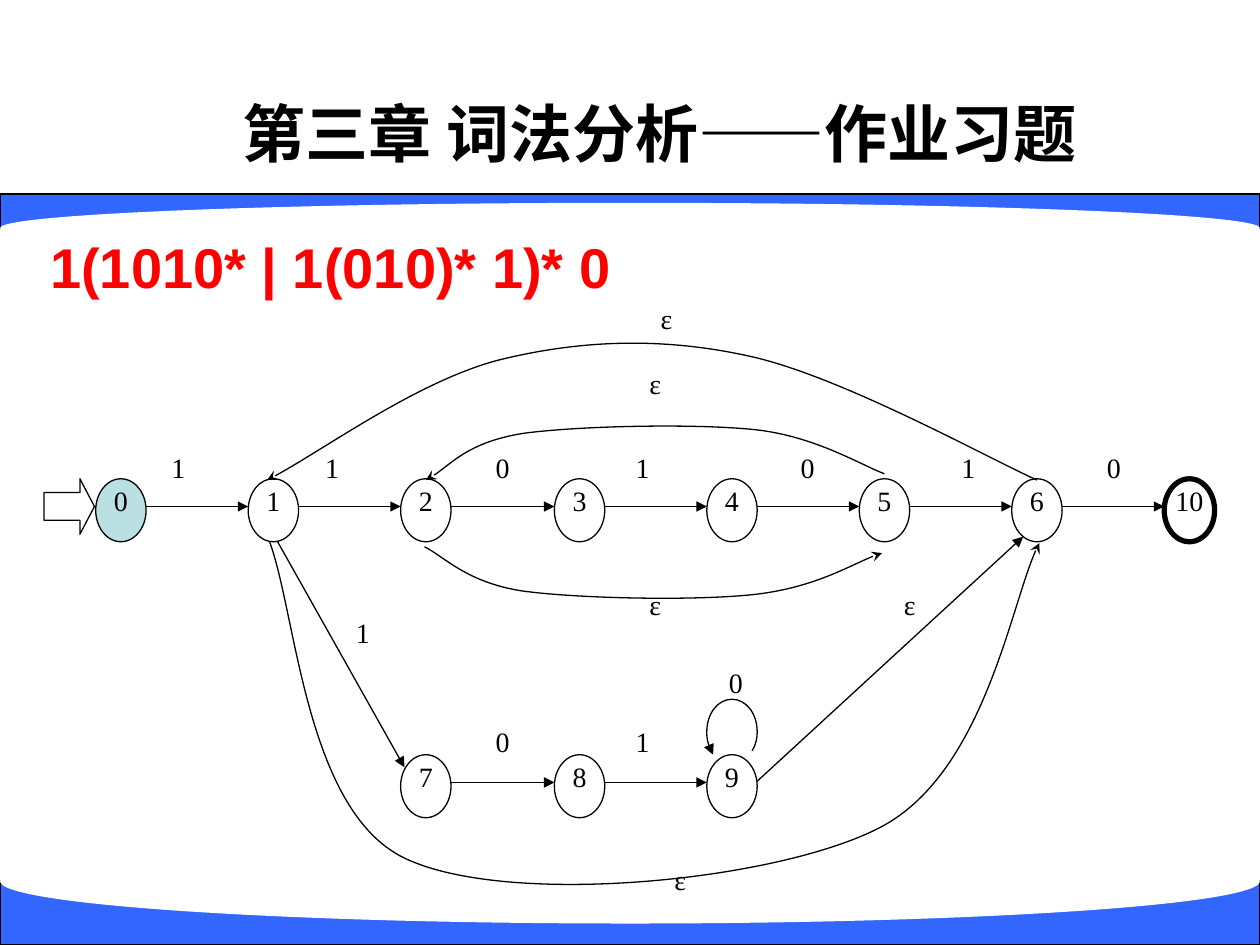
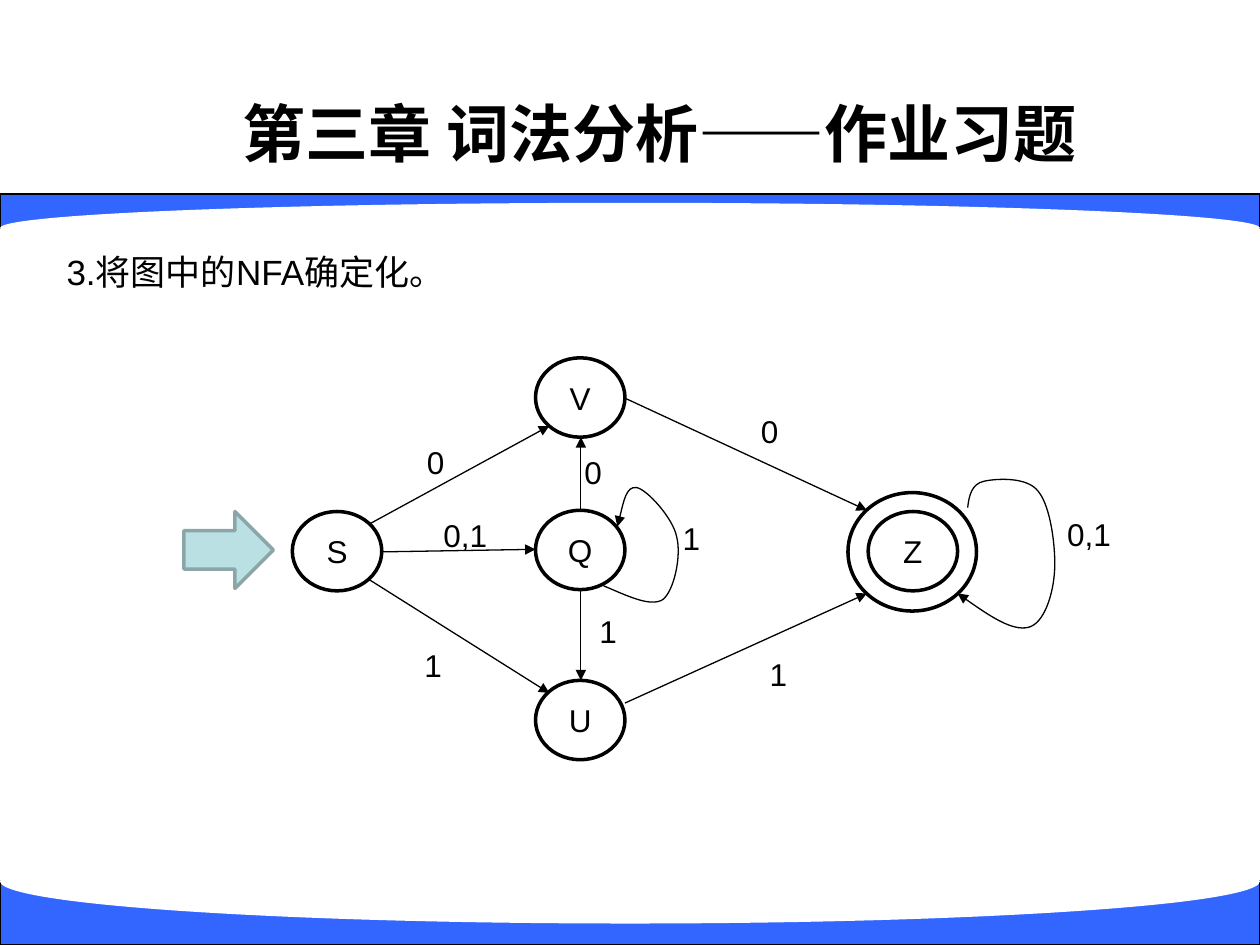
from dataclasses import dataclass

from lxml import etree
from pptx import Presentation
from pptx import util as u
from pptx.dml.color import RGBColor
from pptx.enum import lang, shapes, text
from pptx.oxml import ns

PX = 9144  # EMU in one px, 100 px to the inch
WIDTH, HEIGHT = 1000, 750

BLACK = RGBColor(0x00, 0x00, 0x00)
WHITE = RGBColor(0xFF, 0xFF, 0xFF)
RED = RGBColor(0xFF, 0x00, 0x00)
BLUE = RGBColor(0x33, 0x66, 0xFF)
PALE_TEAL = RGBColor(0xBB, 0xE0, 0xE3)
DARK_TEAL = RGBColor(0x8A, 0xA6, 0xA8)

TITLE = "第三章 词法分析——作业习题"
SHAPE = shapes.MSO_SHAPE
LEFT, CENTER = text.PP_ALIGN.LEFT, text.PP_ALIGN.CENTER
TOP, MIDDLE = text.MSO_ANCHOR.TOP, text.MSO_ANCHOR.MIDDLE
Point = tuple[int, int]


@dataclass(frozen=True)
class Box:
    left: int
    top: int
    width: int
    height: int

    def emu(self) -> list[int]:
        return [side * PX for side in (self.left, self.top, self.width, self.height)]


@dataclass(frozen=True)
class TextStyle:
    size: int
    font: str = "Arial"
    color: RGBColor = BLACK
    bold: bool = False
    align: text.PP_ALIGN = LEFT
    anchor: text.MSO_ANCHOR = TOP
    spacing: float = 1.0
    inset: tuple[int, int] = (10, 5)
    wrap: bool = True


@dataclass(frozen=True)
class State:
    name: str
    box: Box
    fill: RGBColor | None = WHITE
    weight: float = 0.75


@dataclass(frozen=True)
class Label:
    name: str
    left: int
    top: int
    width: int = 40
    align: text.PP_ALIGN = CENTER


@dataclass(frozen=True)
class Curve:
    """Bezier chain: a start, then two handles and an end for each span."""
    points: list[Point]
    head: str


TITLE_STYLE = TextStyle(36, bold=True, align=CENTER, anchor=MIDDLE)
REGEX_STYLE = TextStyle(32, color=RED, bold=True, anchor=MIDDLE)
QUESTION_STYLE = TextStyle(20)
SERIF_STATE = TextStyle(16, "Times New Roman", align=CENTER, spacing=0.88, inset=(0, 0))
SANS_STATE = TextStyle(18, align=CENTER, anchor=MIDDLE, inset=(0, 0))
SANS_LABEL = TextStyle(18, wrap=False)


# Drawing helpers
def write(frame, words: str, style: TextStyle) -> None:
    frame.word_wrap = style.wrap
    frame.vertical_anchor = style.anchor
    frame.margin_left = frame.margin_right = style.inset[0] * PX
    frame.margin_top = frame.margin_bottom = style.inset[1] * PX
    para = frame.paragraphs[0]
    para.alignment = style.align
    para.line_spacing = style.spacing
    para.space_before = u.Pt(0)
    span = para.add_run()
    span.text = words
    span.font.name = style.font
    span.font.size = u.Pt(style.size)
    span.font.bold = style.bold
    span.font.color.rgb = style.color
    span.font.language_id = lang.MSO_LANGUAGE_ID.SIMPLIFIED_CHINESE


def add_text(page, box: Box, words: str, style: TextStyle) -> None:
    write(page.shapes.add_textbox(*box.emu()).text_frame, words, style)


def paint(shape, fill: RGBColor | None, line: RGBColor | None, weight: float) -> None:
    shape.shadow.inherit = False
    if fill is None:
        shape.fill.background()
    else:
        shape.fill.solid()
        shape.fill.fore_color.rgb = fill
    if line is None:
        shape.line.fill.background()
    else:
        shape.line.color.rgb = line
        shape.line.width = u.Pt(weight)


def add_figure(page, kind, box: Box, fill: RGBColor | None,
               line: RGBColor | None = BLACK, weight: float = 0.75):
    figure = page.shapes.add_shape(kind, *box.emu())
    paint(figure, fill, line, weight)
    return figure


def add_state(page, state: State, style: TextStyle) -> None:
    figure = add_figure(page, SHAPE.OVAL, state.box, state.fill, weight=state.weight)
    write(figure.text_frame, state.name, style)


def set_arrowhead(shape, head: str) -> None:
    line = shape.element.spPr.find(ns.qn("a:ln"))
    etree.SubElement(line, ns.qn("a:tailEnd"), type=head)


def add_arrow(page, start: Point, end: Point) -> None:
    ends = [value * PX for value in (*start, *end)]
    arrow = page.shapes.add_connector(shapes.MSO_CONNECTOR.STRAIGHT, *ends)
    arrow.line.color.rgb = BLACK
    arrow.line.width = u.Pt(0.75)
    set_arrowhead(arrow, "triangle")
    etree.SubElement(arrow.element.spPr, ns.qn("a:effectLst"))


def add_curve(page, curve: Curve) -> None:
    builder = page.shapes.build_freeform(*curve.points[0], scale=PX)
    builder.add_line_segments(curve.points[1:], close=False)
    outline = builder.convert_to_shape()
    # Every three straight segments become one Bezier span
    segments = list(outline.element.iter(ns.qn("a:lnTo")))
    route = segments[0].getparent()
    for first in range(0, len(segments), 3):
        span = etree.SubElement(route, ns.qn("a:cubicBezTo"))
        for segment in segments[first:first + 3]:
            span.append(segment[0])
            route.remove(segment)
    paint(outline, None, BLACK, 0.75)
    set_arrowhead(outline, curve.head)


def add_bands(page) -> None:
    """Curved blue bands, placed on the layout that the pages share."""
    bands = []
    for band, oval in ((Box(0, 154, WIDTH, 27), Box(0, 161, WIDTH, 40)),
                       (Box(0, 699, WIDTH, 51), Box(0, 666, WIDTH, 67))):
        bands.append(add_figure(page, SHAPE.RECTANGLE, band, BLUE))
        bands.append(add_figure(page, SHAPE.OVAL, oval, WHITE, None))
    tree = page.slide_layout.shapes.element
    for place, figure in enumerate(bands, 2):
        tree.insert(place, figure.element)


def add_page(deck):
    page = deck.slides.add_slide(deck.slide_layouts[5])
    title = page.shapes.title
    title.left, title.top, title.width, title.height = Box(98, 71, 851, 68).emu()
    write(title.text_frame, TITLE, TITLE_STYLE)
    return page


# Page 1: automaton of the regular expression
def column(index: int) -> int:
    return 76 + round(121.2 * index)


def add_regex_page(deck) -> None:
    page = add_page(deck)
    add_bands(page)
    add_text(page, Box(30, 156, 632, 110), "1(1010* | 1(010)* 1)* 0", REGEX_STYLE)

    start = add_figure(page, SHAPE.RIGHT_ARROW, Box(35, 380, 40, 44), WHITE)
    start.adjustments[1] = 0.288

    # Moves from 1 to 7 and 6 start behind state 1
    add_arrow(page, (217, 424), (321, 609))
    add_curve(page, Curve([(212, 425), (235, 478), (240, 642), (321, 681), (402, 720),
                           (612, 700), (696, 658), (780, 617), (804, 469), (825, 431)],
                          "stealth"))

    # Upper row has eight states, lower row three
    rows = [(380, 0, ["0", "1", "2", "3", "4", "5", "6", "10"]),
            (599, 2, ["7", "8", "9"])]
    for top, first, names in rows:
        for index, name in enumerate(names, first):
            fill = PALE_TEAL if name == "0" else WHITE
            weight = 3 if name == "10" else 0.75
            add_state(page, State(name, Box(column(index), top, 40, 50), fill, weight),
                      SERIF_STATE)
            if index > first:
                add_arrow(page, (column(index - 1) + 40, top + 22),
                          (column(index), top + 22))
    add_arrow(page, (601, 620), (812, 426))

    curves = [
        # 6 back to 1, 5 back to 2
        Curve([(823, 381), (785, 364), (668, 299), (596, 283), (525, 267), (459, 270),
               (395, 286), (331, 303), (250, 362), (212, 381)], "stealth"),
        Curve([(702, 376), (685, 370), (647, 346), (599, 341), (551, 336), (459, 338),
               (415, 344), (372, 351), (354, 373), (338, 381)], "stealth"),
        # 2 on to 5
        Curve([(337, 434), (353, 442), (370, 462), (414, 469), (457, 475), (549, 477),
               (597, 472), (645, 467), (683, 444), (700, 439)], "stealth"),
        # loop on 9
        Curve([(597, 596), (600, 591), (601, 586), (601, 581), (601, 566), (592, 555),
               (581, 555), (570, 555), (561, 566), (561, 581), (561, 587), (563, 594),
               (566, 599)], "triangle"),
    ]
    for curve in curves:
        add_curve(page, curve)

    labels = [
        Label("1", 136, 359, 20, LEFT), Label("1", 258, 359, 20, LEFT),
        Label("0", 379, 359), Label("1", 500, 359, 20), Label("0", 621, 359),
        Label("1", 763, 359, 40, LEFT), Label("0", 864, 359),
        Label("0", 379, 577), Label("1", 500, 577, 20), Label("0", 564, 530),
        Label("1", 278, 490, 20), Label("ε", 509, 241), Label("ε", 500, 293),
        Label("ε", 500, 468), Label("ε", 702, 468), Label("ε", 520, 686),
    ]
    for label in labels:
        style = TextStyle(16, "Times New Roman", align=label.align, spacing=0.96,
                          inset=(0, 0))
        add_text(page, Box(label.left, label.top, label.width, 44), label.name, style)


# Page 2: automaton to be made deterministic
def add_nfa_page(deck) -> None:
    page = add_page(deck)
    add_text(page, Box(43, 194, 906, 87), "3.将图中的NFA确定化。", QUESTION_STYLE)

    for name, left, top in (("V", 425, 284), ("S", 232, 406), ("U", 425, 540),
                            ("Q", 425, 405), ("Z", 689, 406)):
        add_state(page, State(name, Box(left, top, 71, 63), None, 2), SANS_STATE)
    add_figure(page, SHAPE.OVAL, Box(673, 391, 102, 94), None, weight=2)
    add_figure(page, SHAPE.RIGHT_ARROW, Box(146, 406, 71, 61), PALE_TEAL, DARK_TEAL, 2)

    moves = [((303, 438), (425, 436)), ((293, 416), (436, 338)),
             ((293, 460), (436, 550)), ((461, 405), (461, 347)),
             ((461, 468), (461, 540)), ((496, 316), (688, 405)),
             ((496, 558), (688, 471))]
    for start, end in moves:
        add_arrow(page, start, end)

    # Loops on Q and Z
    add_curve(page, Curve([(479, 465), (498, 473), (516, 482), (526, 476), (535, 469),
                           (541, 441), (537, 426), (534, 411), (513, 388), (505, 387),
                           (497, 386), (494, 402), (490, 418)], "triangle"))
    add_curve(page, Curve([(768, 403), (769, 394), (771, 384), (781, 382), (790, 380),
                           (815, 378), (824, 390), (834, 402), (838, 435), (837, 453),
                           (836, 471), (829, 495), (816, 498), (803, 501), (781, 486),
                           (760, 471)], "triangle"))

    labels = [Label("0", 329, 347, 34), Label("0", 594, 322, 34),
              Label("0", 454, 355, 34), Label("0,1", 342, 405, 55),
              Label("0,1", 837, 404, 55), Label("1", 601, 515, 34),
              Label("1", 532, 407, 34), Label("1", 327, 508, 34),
              Label("1", 466, 481, 34)]
    for label in labels:
        add_text(page, Box(label.left, label.top, label.width, 40), label.name, SANS_LABEL)


def main() -> None:
    deck = Presentation()
    deck.slide_width, deck.slide_height = WIDTH * PX, HEIGHT * PX
    add_regex_page(deck)
    add_nfa_page(deck)
    deck.save("out.pptx")


if __name__ == "__main__":
    main()
